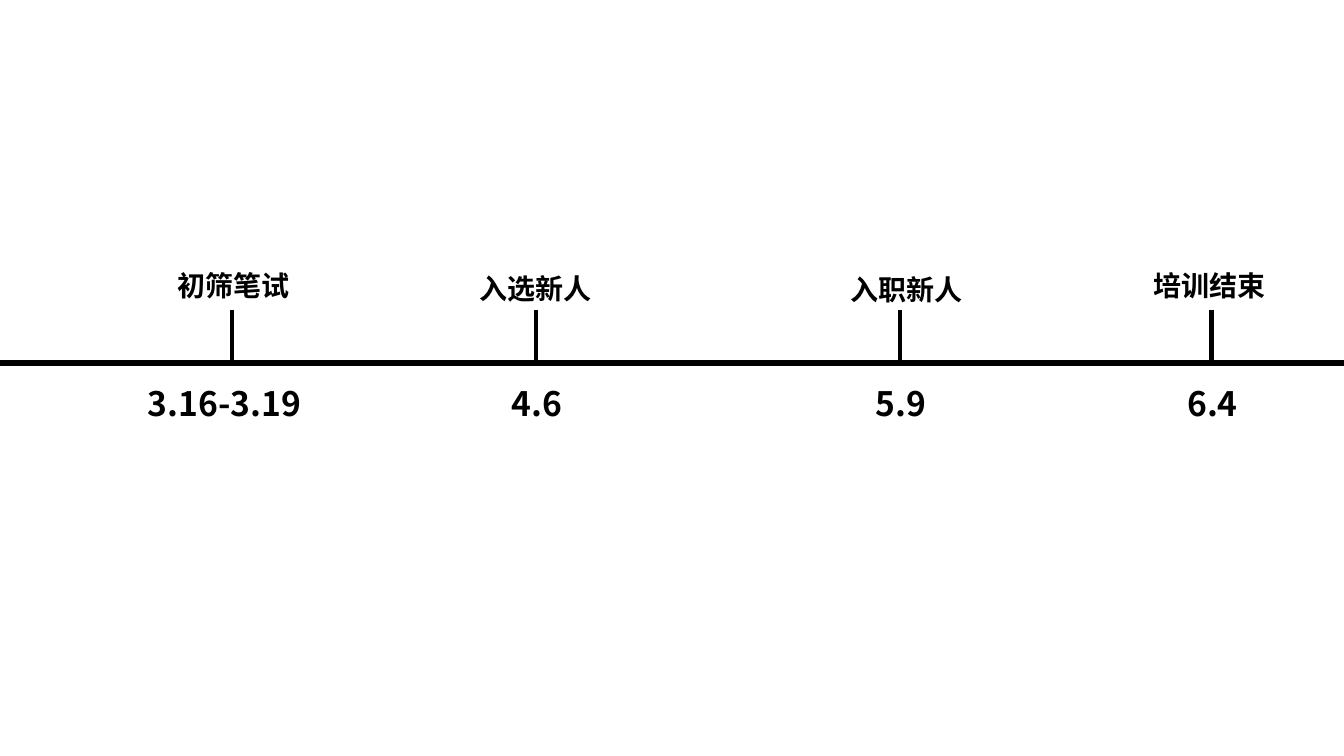
from dataclasses import dataclass

from lxml.etree import SubElement
from pptx import Presentation
from pptx.dml.color import RGBColor
from pptx.enum.shapes import MSO_CONNECTOR
from pptx.enum.text import MSO_AUTO_SIZE as AutoSize
from pptx.oxml.ns import qn
from pptx.slide import Slide
from pptx.util import Cm, Pt

FONT = "Noto Sans CJK SC"
BLACK = "000000"
SLIDE_WIDTH, SLIDE_HEIGHT = 33.87, 19.05
AXIS_Y, TICK_TOP, DATE_TOP = 9.14, 7.8, 9.53
TEXT_WIDTH = 4.75


@dataclass(frozen=True)
class Milestone:
    """A dated event; lengths are in centimetres."""
    event: str
    date: str
    tick_x: float
    event_left: float
    event_top: float
    date_left: float


MILESTONES = [
    Milestone("初筛笔试", "3.16-3.19", 5.84, 4.22, 6.65, 3.48),
    Milestone("入选新人", "4.6", 13.51, 11.84, 6.71, 12.65),
    Milestone("入职新人", "5.9", 22.68, 21.18, 6.73, 21.82),
    Milestone("培训结束", "6.4", 30.53, 28.83, 6.65, 29.67),
]


def color(hex_code: str) -> RGBColor:
    return RGBColor.from_string(hex_code)


def add_line(slide: Slide, x1: float, y1: float, x2: float, y2: float,
             weight: float) -> None:
    stroke = slide.shapes.add_connector(
        MSO_CONNECTOR.STRAIGHT, Cm(x1), Cm(y1), Cm(x2), Cm(y2))
    stroke.line.color.rgb = color(BLACK)
    stroke.line.width = Pt(weight)
    SubElement(stroke._element.spPr, qn("a:effectLst"))


def add_label(slide: Slide, text: str, left: float, top: float,
              height: float, size: float) -> None:
    frame = slide.shapes.add_textbox(
        Cm(left), Cm(top), Cm(TEXT_WIDTH), Cm(height)).text_frame
    frame.word_wrap = True
    frame.auto_size = AutoSize.SHAPE_TO_FIT_TEXT
    run = frame.paragraphs[0].add_run()
    run.text = text
    for attribute, value in {"name": FONT, "size": Pt(size), "bold": True}.items():
        setattr(run.font, attribute, value)
    run.font.color.rgb = color(BLACK)
    SubElement(run.font._element, qn("a:ea"), typeface=FONT)


def main() -> None:
    deck = Presentation()
    deck.slide_width, deck.slide_height = Cm(SLIDE_WIDTH), Cm(SLIDE_HEIGHT)
    timeline = deck.slides.add_slide(deck.slide_layouts[6])

    add_line(timeline, 0, AXIS_Y, SLIDE_WIDTH, AXIS_Y, 4.5)
    for stop in MILESTONES:
        add_line(timeline, stop.tick_x, TICK_TOP, stop.tick_x, AXIS_Y, 3)
        add_label(timeline, stop.date, stop.date_left, DATE_TOP, 1.27, 24)
        add_label(timeline, stop.event, stop.event_left, stop.event_top, 1.12, 20)

    deck.save("out.pptx")


if __name__ == "__main__":
    main()
